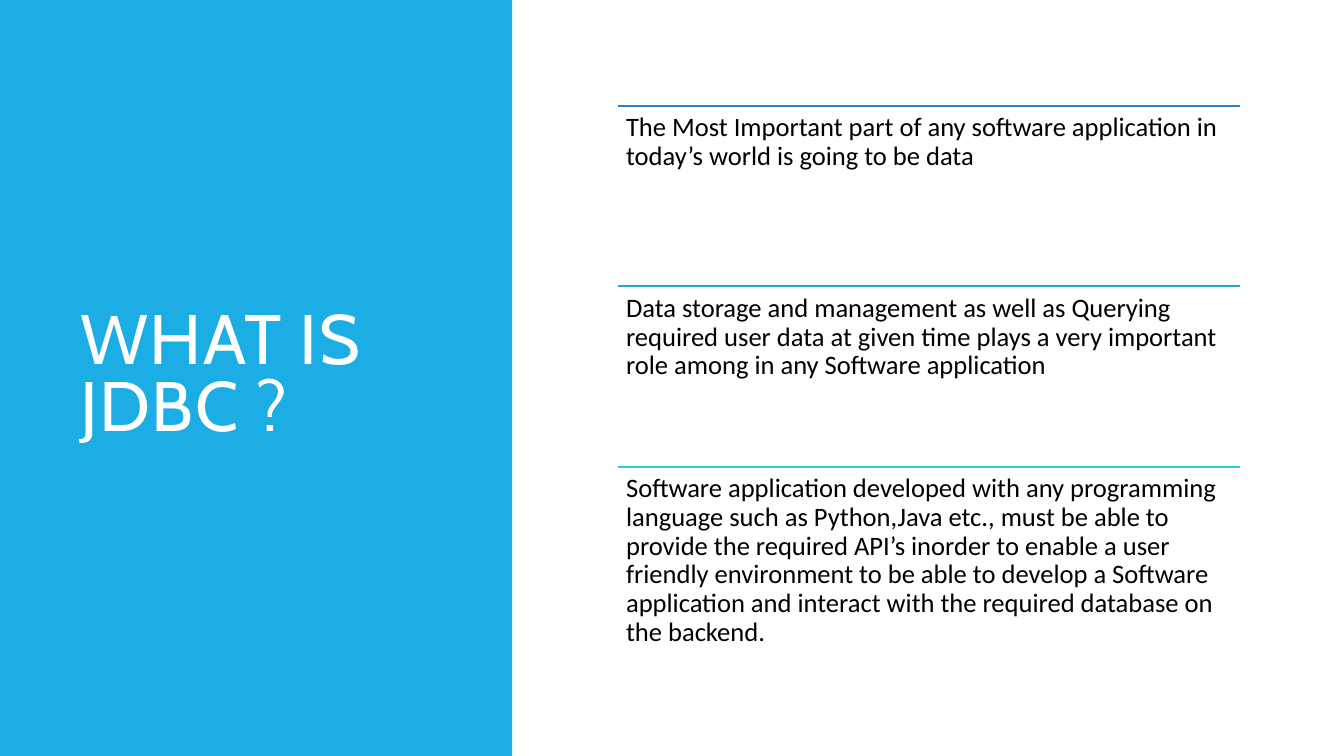
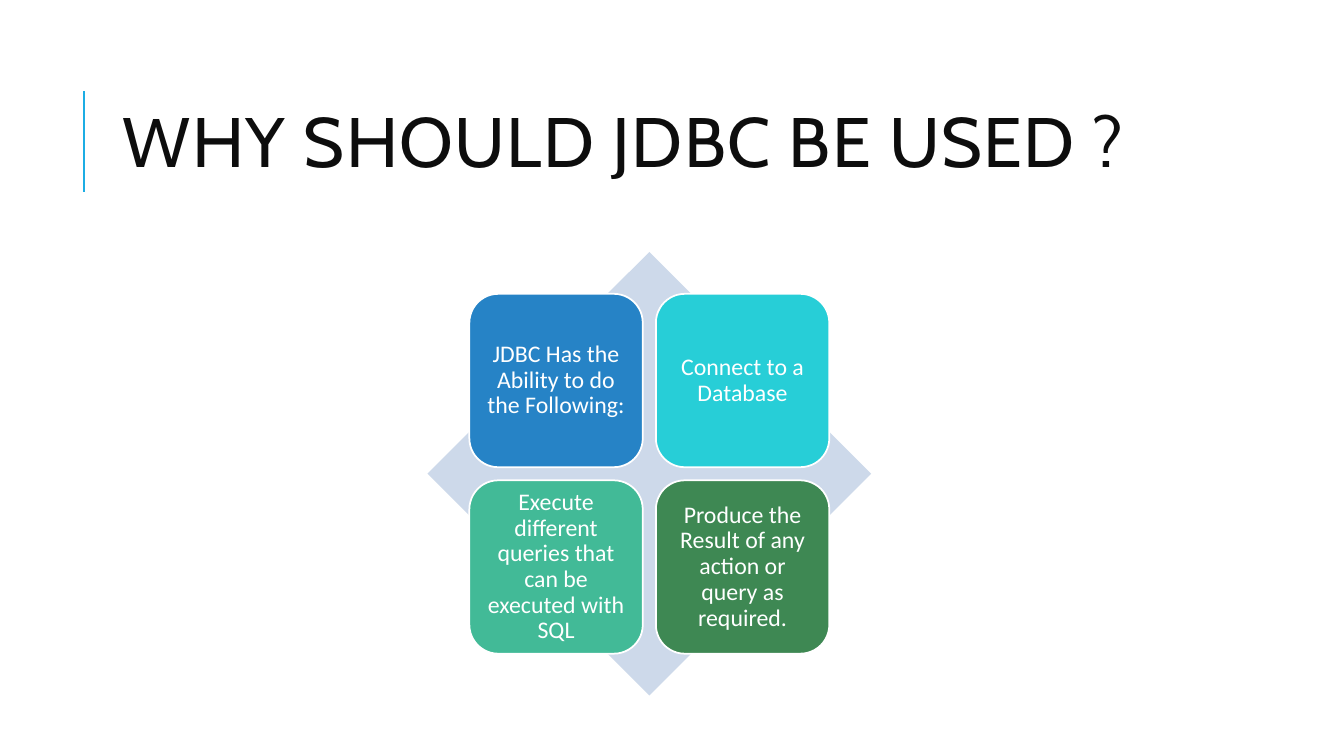
from typing import NamedTuple

from lxml.etree import SubElement
from pptx import Presentation
from pptx.dml.color import RGBColor
from pptx.enum.shapes import MSO_CONNECTOR, MSO_SHAPE
from pptx.enum.text import MSO_ANCHOR, PP_ALIGN
from pptx.oxml.ns import qn
from pptx.shapes.autoshape import Shape
from pptx.slide import Slide
from pptx.util import Inches, Pt

ACCENT = "1CADE4"
BLUE = "2683C6"
MID_BLUE = "27A7CE"
TURQUOISE = "27CED7"
GREEN = "42BA97"
DARK_GREEN = "3E8853"
PALE_BLUE = "CDD9EA"
WHITE = "FFFFFF"
BLACK = "000000"
NEAR_BLACK = "0D0D0D"

TITLE_FONT = "Cabin"
BODY_FONT = "Calibri"


class Box(NamedTuple):
    left: float
    top: float
    width: float
    height: float


class Item(NamedTuple):
    text: str
    color: str


POINTS = [
    Item("The Most Important part of any software application in today’s world "
         "is going to be data", BLUE),
    Item("Data storage and management as well as Querying required user data at "
         "given time plays a very important role among in any Software application",
         MID_BLUE),
    Item("Software application developed with any programming language such as "
         "Python,Java etc., must be able to provide the required API’s inorder to "
         "enable a user friendly environment to be able to develop a Software "
         "application and interact with the required database on the backend.",
         TURQUOISE),
]

TILES = [
    Item("JDBC Has the Ability to do the Following:", BLUE),
    Item("Connect to a Database", TURQUOISE),
    Item("Execute different queries that can be executed with SQL", GREEN),
    Item("Produce the Result of any action or query as required.", DARK_GREEN),
]


def rgb(color: str) -> RGBColor:
    return RGBColor.from_string(color)


def write_text(shape: Shape, text: str, *, size: float, color: str,
               font: str = BODY_FONT, align: PP_ALIGN = PP_ALIGN.LEFT,
               anchor: MSO_ANCHOR = MSO_ANCHOR.TOP, line_spacing: float = 0.9,
               inset_x: float = 0.08, inset_y: float = 0.08,
               tracking: float = 0) -> None:
    frame = shape.text_frame
    frame.word_wrap = True
    frame.vertical_anchor = anchor
    frame.margin_left = frame.margin_right = Inches(inset_x)
    frame.margin_top = frame.margin_bottom = Inches(inset_y)
    paragraph = frame.paragraphs[0]
    paragraph.alignment = align
    paragraph.line_spacing = line_spacing
    run = paragraph.add_run()
    run.text = text
    run.font.name = font
    run.font.size = Pt(size)
    run.font.color.rgb = rgb(color)
    if tracking:
        run._r.get_or_add_rPr().set("spc", str(round(tracking * 100)))


def add_text_box(slide: Slide, box: Box) -> Shape:
    return slide.shapes.add_textbox(*map(Inches, box))


def add_title(slide: Slide, text: str, box: Box, color: str) -> None:
    write_text(add_text_box(slide, box), text, size=50, color=color,
               font=TITLE_FONT, anchor=MSO_ANCHOR.MIDDLE, line_spacing=0.8,
               inset_x=0.1, inset_y=0.05, tracking=1)


def add_filled_shape(slide: Slide, kind: MSO_SHAPE, box: Box, fill: str,
                     outline: str | None = None) -> Shape:
    shape = slide.shapes.add_shape(kind, *map(Inches, box))
    shape.shadow.inherit = False
    shape.fill.solid()
    shape.fill.fore_color.rgb = rgb(fill)
    if outline:
        shape.line.color.rgb = rgb(outline)
        shape.line.width = Pt(1.25)
    else:
        shape.line.fill.background()
    return shape


def add_line(slide: Slide, start: tuple[float, float], end: tuple[float, float],
             color: str, width: float) -> None:
    line = slide.shapes.add_connector(
        MSO_CONNECTOR.STRAIGHT, *map(Inches, (*start, *end)))
    line.line.color.rgb = rgb(color)
    line.line.width = Pt(width)
    SubElement(line._element.spPr, qn("a:effectLst"))


def add_blank_slide(presentation: Presentation) -> Slide:
    slide = presentation.slides.add_slide(presentation.slide_layouts[6])
    slide.background.fill.solid()
    slide.background.fill.fore_color.rgb = rgb(WHITE)
    return slide


def build_definition_slide(presentation: Presentation) -> None:
    slide = add_blank_slide(presentation)
    add_filled_shape(slide, MSO_SHAPE.RECTANGLE, Box(0, 0, 5.08, 7.5), ACCENT)
    add_title(slide, "WHAT IS JDBC ?", Box(0.7, 0.7, 3.74, 6.09), WHITE)

    left, first_top, width, row_height = 6.13, 1.05, 6.17, 1.79
    for row, point in enumerate(POINTS):
        top = first_top + row * row_height
        add_line(slide, (left, top), (left + width, top), point.color, 1.25)
        text_box = add_text_box(slide, Box(left, top, width, row_height))
        write_text(text_box, point.text, size=19, color=BLACK)


def build_reasons_slide(presentation: Presentation) -> None:
    slide = add_blank_slide(presentation)
    add_line(slide, (0.83, 1.9), (0.83, 0.9), ACCENT, 1.5)
    add_title(slide, "WHY SHOULD JDBC BE USED ?", Box(1.12, 0.64, 10.63, 1.64),
              NEAR_BLACK)

    diamond = Box(4.24, 2.5, 4.4, 4.4)
    add_filled_shape(slide, MSO_SHAPE.DIAMOND, diamond, PALE_BLUE)
    side, gap = 1.72, 0.13
    margin = (diamond.width - 2 * side - gap) / 2
    for index, tile in enumerate(TILES):
        row, column = divmod(index, 2)
        box = Box(diamond.left + margin + column * (side + gap),
                  diamond.top + margin + row * (side + gap), side, side)
        shape = add_filled_shape(slide, MSO_SHAPE.ROUNDED_RECTANGLE, box,
                                 tile.color, WHITE)
        write_text(shape, tile.text, size=17, color=WHITE, align=PP_ALIGN.CENTER,
                   anchor=MSO_ANCHOR.MIDDLE, inset_x=0.07, inset_y=0.07)


def main() -> None:
    presentation = Presentation()
    presentation.slide_width = Inches(13.33)
    presentation.slide_height = Inches(7.5)
    build_definition_slide(presentation)
    build_reasons_slide(presentation)
    presentation.save("out.pptx")


if __name__ == "__main__":
    main()
